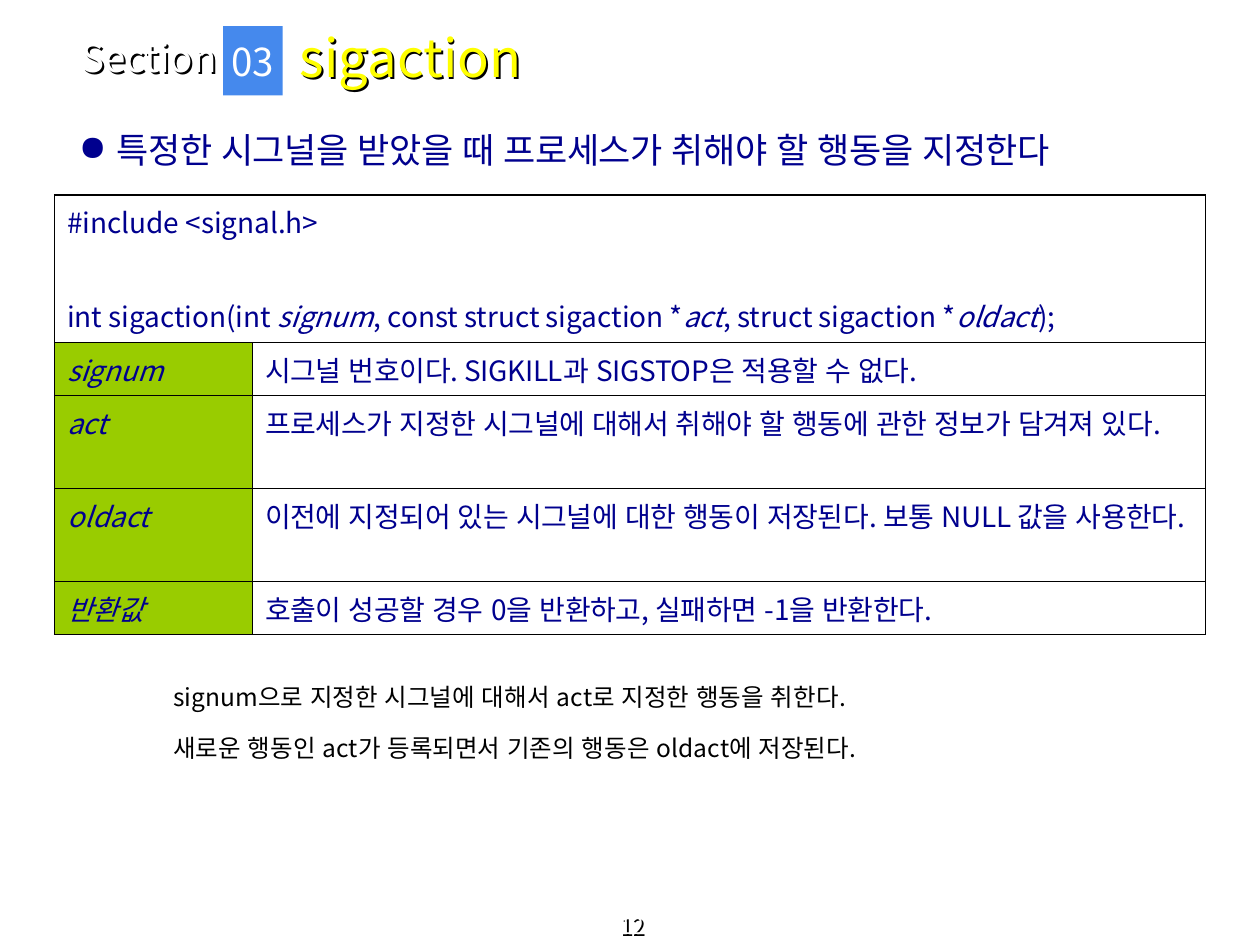
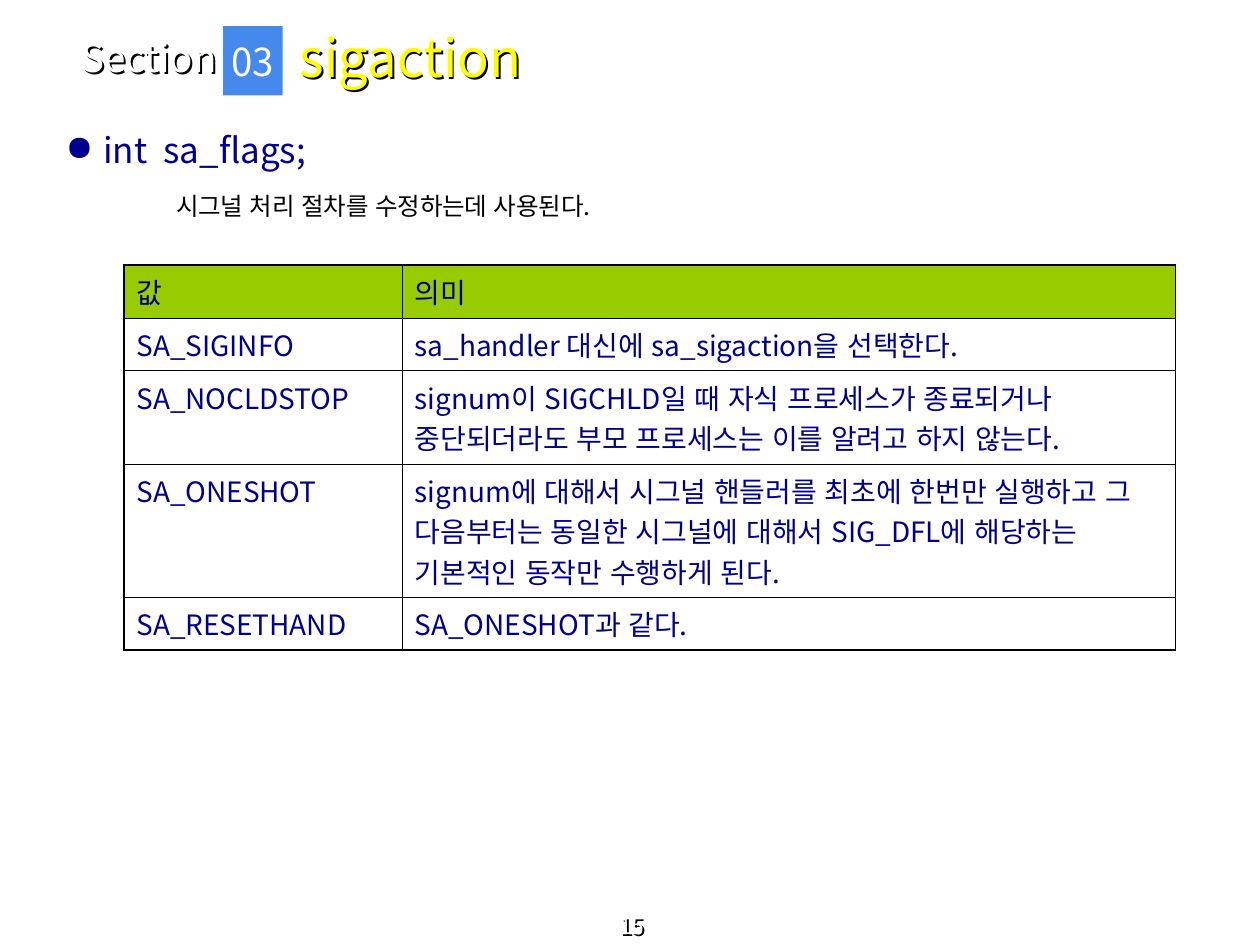
"""Build two lecture slides on the sigaction call."""

from dataclasses import dataclass

import lxml.etree
import pptx
import pptx.dml.color
import pptx.enum.lang
import pptx.enum.shapes
import pptx.enum.text
import pptx.oxml.ns
import pptx.presentation
import pptx.slide
import pptx.table
import pptx.text.text
import pptx.util

Pt = pptx.util.Pt
RGBColor = pptx.dml.color.RGBColor
Align = pptx.enum.text.PP_ALIGN
Anchor = pptx.enum.text.MSO_ANCHOR
qn = pptx.oxml.ns.qn

FONT = "Noto Sans CJK KR"
WHITE = RGBColor(0xFF, 0xFF, 0xFF)
BLACK = RGBColor(0x00, 0x00, 0x00)
NAVY = RGBColor(0x00, 0x00, 0x8E)
YELLOW = RGBColor(0xFF, 0xFF, 0x00)
BLUE = RGBColor(0x45, 0x89, 0xED)
GREEN = RGBColor(0x99, 0xCC, 0x00)

OUTER_LINE = 1.08
INNER_LINE = 0.45
CELL_LINE = 23
CELL_MARGINS = 7.2
BULLET_INDENT = 21.5
SHADOW_DISTANCE = 1.5


@dataclass(frozen=True)
class Frame:
    """Place and size in points."""

    left: float
    top: float
    width: float
    height: float

    def lengths(self) -> list[pptx.util.Length]:
        """Return the four lengths in drawing order."""
        return [Pt(value) for value in (self.left, self.top, self.width, self.height)]


@dataclass(frozen=True)
class Style:
    """Look of a run of text."""

    size: float
    color: RGBColor
    shadow: bool = False


@dataclass(frozen=True)
class Span:
    """Words with their slant and letter spacing in points."""

    words: str
    italic: bool = False
    tracking: float = 0


@dataclass(frozen=True)
class Line:
    """One paragraph made of spans."""

    spans: tuple[Span, ...]
    space_before: float = 0
    spacing: float = 1


@dataclass(frozen=True)
class Cell:
    """Lines of a table cell and its fill."""

    lines: tuple[Line, ...]
    fill: RGBColor = WHITE


@dataclass(frozen=True)
class Grid:
    """Table with column widths and row heights."""

    left: float
    top: float
    columns: tuple[float, ...]
    row_heights: tuple[float, ...]
    rows: tuple[tuple[Cell, ...], ...]


SECTION = Style(22, WHITE, shadow=True)
BADGE = Style(22, WHITE)
TITLE = Style(30, YELLOW, shadow=True)
NUMBER = Style(13, WHITE, shadow=True)
BULLET = Style(20, NAVY)
BODY = Style(14, BLACK)
TABLE = Style(16, NAVY)


def plain(words: str, space_before: float = 0, spacing: float = 1,
          tracking: float = 0) -> Line:
    """Return a line with a single upright span."""
    return Line((Span(words, tracking=tracking),), space_before, spacing)


def label(words: str, italic: bool = False) -> Cell:
    """Return a green table cell."""
    return Cell((Line((Span(words, italic),)),), GREEN)


def entry(words: str, tracking: float = 0) -> Cell:
    """Return a white table cell."""
    return Cell((plain(words, tracking=tracking),))


def row_height(lines: int) -> float:
    """Return the height of a row holding some text lines."""
    return lines * CELL_LINE + CELL_MARGINS


def add_shadow(properties: lxml.etree._Element) -> None:
    """Give the text of an unfilled box a small black shadow."""
    effects = lxml.etree.SubElement(properties, qn("a:effectLst"))
    shadow = lxml.etree.SubElement(
        effects, qn("a:outerShdw"), dist=str(Pt(SHADOW_DISTANCE)), dir="2700000")
    lxml.etree.SubElement(shadow, qn("a:srgbClr"), val=str(BLACK))


def write(frame: pptx.text.text.TextFrame, lines: tuple[Line, ...], style: Style,
          align: Align = Align.LEFT) -> None:
    """Write lines into a text frame run by run."""
    for index, line in enumerate(lines):
        para = frame.add_paragraph() if index else frame.paragraphs[0]
        para.alignment = align
        para.line_spacing = line.spacing
        para.space_before = Pt(line.space_before)
        for span in line.spans:
            run = para.add_run()
            run.text = span.words
            run.font.name = FONT
            run.font.size = Pt(style.size)
            run.font.italic = span.italic
            run.font.color.rgb = style.color
            run.font.language_id = pptx.enum.lang.MSO_LANGUAGE_ID.KOREAN
            properties = run.font._element
            if span.tracking:
                properties.set("spc", str(round(span.tracking * 100)))
            east_asian = lxml.etree.Element(qn("a:ea"), typeface=FONT)
            properties.find(qn("a:latin")).addnext(east_asian)


def add_text(page: pptx.slide.Slide, frame: Frame, lines: tuple[Line, ...],
             style: Style, anchor: Anchor = Anchor.TOP,
             align: Align = Align.LEFT) -> pptx.text.text.TextFrame:
    """Add a wrapping text box."""
    box = page.shapes.add_textbox(*frame.lengths())
    if style.shadow:
        add_shadow(box._element.spPr)
    text = box.text_frame
    text.word_wrap = True
    text.vertical_anchor = anchor
    write(text, lines, style, align)
    return text


def add_bullet(page: pptx.slide.Slide, left: float, line: Line) -> None:
    """Add the main bullet line of a page."""
    text = add_text(page, Frame(left, 70, 620, 32), (line,), BULLET)
    properties = text.paragraphs[0]._p.get_or_add_pPr()
    indent = Pt(BULLET_INDENT)
    properties.set("marL", str(indent))
    properties.set("indent", str(-indent))
    color = lxml.etree.SubElement(properties, qn("a:buClr"))
    lxml.etree.SubElement(color, qn("a:srgbClr"), val=str(NAVY))
    lxml.etree.SubElement(properties, qn("a:buChar"), char="●")


def set_borders(cell: pptx.table._Cell, edges: dict[str, bool]) -> None:
    """Draw cell borders, thicker on the outer edges."""
    properties = cell._tc.get_or_add_tcPr()
    for index, (side, outer) in enumerate(edges.items()):
        width = Pt(OUTER_LINE if outer else INNER_LINE)
        border = lxml.etree.Element(qn(f"a:ln{side}"), w=str(width))
        fill = lxml.etree.SubElement(border, qn("a:solidFill"))
        lxml.etree.SubElement(fill, qn("a:srgbClr"), val=str(BLACK))
        properties.insert(index, border)


def add_grid(page: pptx.slide.Slide, grid: Grid) -> None:
    """Add a table, merging any row that has a single cell."""
    last_row, last_column = len(grid.rows) - 1, len(grid.columns) - 1
    frame = Frame(grid.left, grid.top, sum(grid.columns), sum(grid.row_heights))
    table = page.shapes.add_table(
        len(grid.rows), len(grid.columns), *frame.lengths()).table
    table.first_row = table.horz_banding = False
    for column, width in zip(table.columns, grid.columns):
        column.width = Pt(width)
    for y, cells in enumerate(grid.rows):
        table.rows[y].height = Pt(grid.row_heights[y])
        merged = len(cells) == 1
        if merged:
            table.cell(y, 0).merge(table.cell(y, last_column))
        for x in range(len(grid.columns)):
            set_borders(table.cell(y, x), {
                "L": x == 0, "R": merged or x == last_column,
                "T": y == 0, "B": y == last_row})
        for x, content in enumerate(cells):
            cell = table.cell(y, x)
            cell.fill.solid()
            cell.fill.fore_color.rgb = content.fill
            write(cell.text_frame, content.lines, TABLE)


def add_page(deck: pptx.presentation.Presentation, number: int) -> pptx.slide.Slide:
    """Add a page with the shared heading and page number."""
    page = deck.slides.add_slide(deck.slide_layouts[6])
    add_text(page, Frame(2, 524, 718, 16), (plain(str(number)),), NUMBER,
             Anchor.BOTTOM, Align.CENTER)
    add_text(page, Frame(39.5, 19.5, 139, 26.5), (plain("Section"),), SECTION,
             Anchor.MIDDLE)
    add_text(page, Frame(164.3, 8, 467, 49), (plain("sigaction"),), TITLE,
             Anchor.MIDDLE)
    badge = page.shapes.add_shape(
        pptx.enum.shapes.MSO_SHAPE.RECTANGLE, *Frame(127.5, 15, 34, 39.5).lengths())
    badge.shadow.inherit = False
    badge.fill.solid()
    badge.fill.fore_color.rgb = BLUE
    badge.line.fill.background()
    badge.text_frame.word_wrap = False
    badge.text_frame.vertical_anchor = Anchor.MIDDLE
    write(badge.text_frame, (plain("03"),), BADGE, Align.CENTER)
    return page


def build_call_page(deck: pptx.presentation.Presentation) -> None:
    """Describe the call and its arguments."""
    page = add_page(deck, 12)
    add_bullet(page, 38, plain(
        "특정한 시그널을 받았을 때 프로세스가 취해야 할 행동을 지정한다", tracking=-0.29))
    prototype = Line((
        Span("int sigaction(int "), Span("signum", True),
        Span(", const struct sigaction *"), Span("act", True),
        Span(", struct sigaction *"), Span("oldact", True), Span(");"),
    ), space_before=CELL_LINE + 7.5)
    arguments = (
        ("signum", "시그널 번호이다. SIGKILL과 SIGSTOP은 적용할 수 없다."),
        ("act", "프로세스가 지정한 시그널에 대해서 취해야 할 행동에 관한 정보가 담겨져 있다."),
        ("oldact", "이전에 지정되어 있는 시그널에 대한 행동이 저장된다. 보통 NULL 값을 사용한다."),
        ("반환값", "호출이 성공할 경우 0을 반환하고, 실패하면 -1을 반환한다."),
    )
    add_grid(page, Grid(
        31.2, 111.6, (113.2, 544.5),
        (row_height(3) + 8, *map(row_height, (1, 2, 2, 1))),
        ((Cell((plain("#include <signal.h>"), prototype)),),
         *((label(name, True), entry(meaning, -0.17)) for name, meaning in arguments))))
    add_text(page, Frame(92, 378, 608, 63), (
        plain("signum으로 지정한 시그널에 대해서 act로 지정한 행동을 취한다.", 0, 1.5),
        plain("새로운 행동인 act가 등록되면서 기존의 행동은 oldact에 저장된다.", 3.5, 1.5),
    ), BODY)


def build_flags_page(deck: pptx.presentation.Presentation) -> None:
    """List the flag values and their meaning."""
    page = add_page(deck, 15)
    add_bullet(page, 30.5, Line(
        (Span("int"), Span(" ", tracking=4.5), Span("sa_flags;"))))
    add_text(page, Frame(93.5, 105.7, 600, 34),
             (plain("시그널 처리 절차를 수정하는데 사용된다.", tracking=-0.12),), BODY)
    flags = (
        ("SA_SIGINFO", "sa_handler 대신에 sa_sigaction을 선택한다."),
        ("SA_NOCLDSTOP", "signum이 SIGCHLD일 때 자식 프로세스가 종료되거나 "
                         "중단되더라도 부모 프로세스는 이를 알려고 하지 않는다."),
        ("SA_ONESHOT", "signum에 대해서 시그널 핸들러를 최초에 한번만 실행하고 그 "
                       "다음부터는 동일한 시그널에 대해서 SIG_DFL에 해당하는 "
                       "기본적인 동작만 수행하게 된다."),
        ("SA_RESETHAND", "SA_ONESHOT과 같다."),
    )
    add_grid(page, Grid(
        70.8, 151.5, (159, 442), tuple(map(row_height, (1, 1, 2, 3, 1))),
        ((label("값"), label("의미")),
         *((entry(name), entry(meaning)) for name, meaning in flags))))


def main() -> None:
    """Build and save the deck."""
    deck = pptx.Presentation()
    deck.slide_width, deck.slide_height = Pt(720), Pt(540)
    build_call_page(deck)
    build_flags_page(deck)
    deck.save("out.pptx")


if __name__ == "__main__":
    main()
